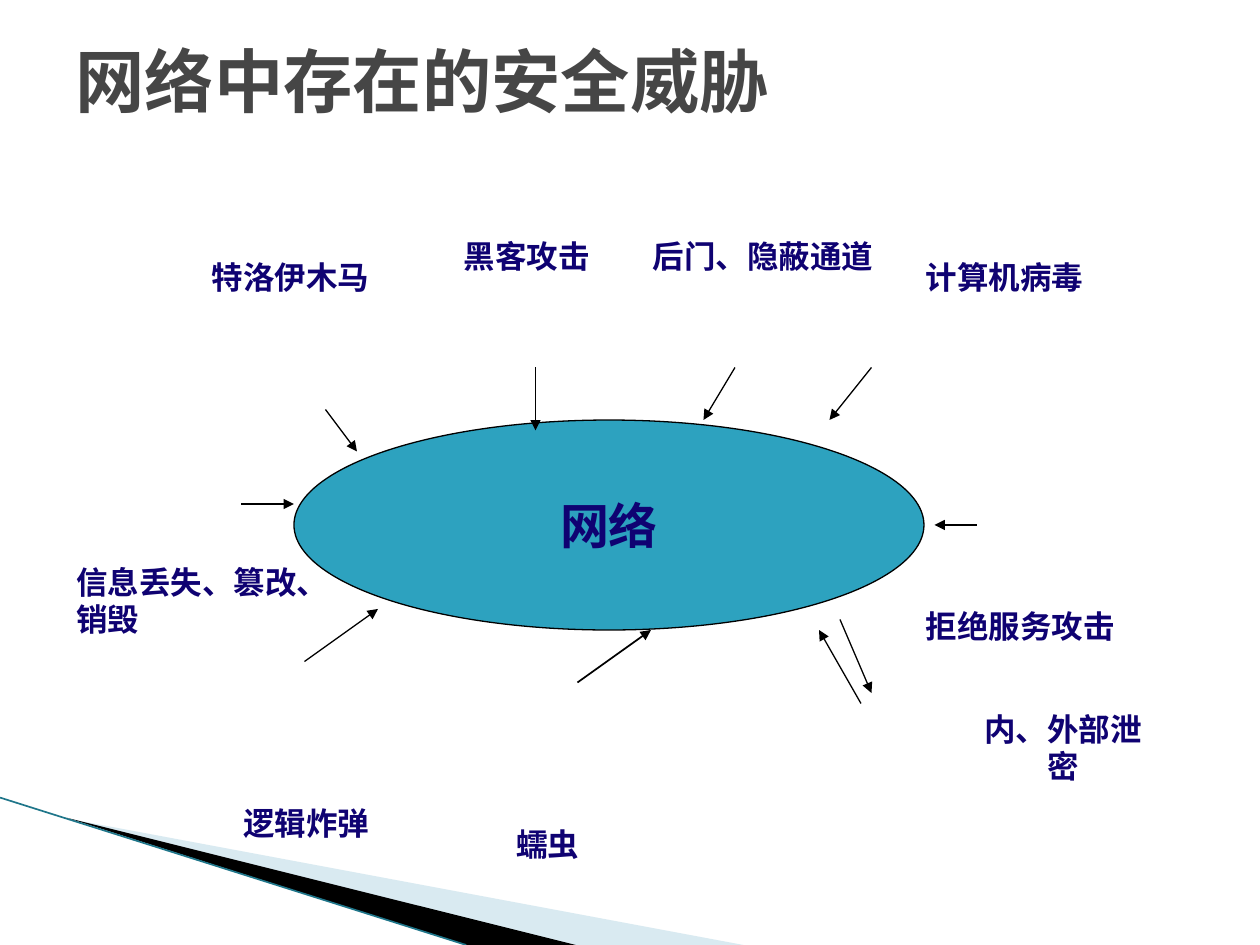
"""Build the slide on security threats surrounding a network."""
from lxml.etree import SubElement
from pptx import Presentation
from pptx.dml.color import RGBColor
from pptx.enum.shapes import MSO_CONNECTOR as Connector, MSO_SHAPE as Shape
from pptx.enum.text import MSO_ANCHOR as Anchor, MSO_AUTO_SIZE as AutoSize, PP_ALIGN as Align
from pptx.oxml.ns import qn
from pptx.util import Inches, Pt

COLORS = {
    "title": "464646", "label": "0F0272", "network": "2DA2BF",
    "ink": "000000", "pale": "A0CBDC", "edge": "1F768A",
}
TITLE = "网络中存在的安全威胁"
TITLE_FONT, BODY_FONT = "Noto Sans Mono", "Times New Roman"
CELL = 1 / 12
NETWORK = ("网络", (28, 40, 60, 20))
THREATS = [
    ("特洛伊木马", (19, 24, 32, 4.8), Align.LEFT),
    ("黑客攻击", (43, 22, 25, 4.8), Align.LEFT),
    ("后门、隐蔽通道", (61, 22, 28, 4.8), Align.LEFT),
    ("计算机病毒", (87, 24, 24, 4.8), Align.LEFT),
    ("信息丢失、篡改、销毁", (6.1, 53, 23.9, 11), Align.LEFT),
    ("拒绝服务攻击", (87, 57.25, 27, 6.1), Align.LEFT),
    ("内、外部泄密", (91.5, 67, 19.5, 11), Align.CENTER),
    ("逻辑炸弹", (22, 76, 24, 4.8), Align.LEFT),
    ("蠕虫", (48, 78, 18, 4.8), Align.LEFT),
]
ATTACKS = [
    (31, 39, 34, 43), (51, 35, 51, 41), (70, 35, 67, 40), (83, 35, 79, 40),
    (23, 48, 28, 48), (93, 50, 89, 50), (29, 63, 36, 58), (82, 67, 78, 60),
    (80, 59, 83, 66),
]
WORM_ATTACK = (55, 65, 62, 60)
PALE_WEDGE = [(0.55, 6.5), (5.9, 7.5), (4.56, 7.5)]
DARK_WEDGE = [(0.53, 6.49), (4.57, 7.5), (3.7, 7.5)]
WEDGE_EDGE = (0, 6.33, 3.7, 7.5)


def color(name):
    return RGBColor.from_string(COLORS[name])


def on_grid(cells):
    return [Inches(cell * CELL) for cell in cells]


def write(frame, text, size, font_name, color_name, align):
    paragraph = frame.paragraphs[0]
    paragraph.alignment = align
    run = paragraph.add_run()
    run.text = text
    run.font.size, run.font.name, run.font.bold = Pt(size), font_name, True
    run.font.color.rgb = color(color_name)


def add_wedge(slide, points, color_name, opacity=100):
    corners = [(Inches(x), Inches(y)) for x, y in points]
    builder = slide.shapes.build_freeform(*corners[0])
    builder.add_line_segments(corners[1:], close=True)
    wedge = builder.convert_to_shape()
    wedge.shadow.inherit = False
    wedge.fill.solid()
    wedge.fill.fore_color.rgb = color(color_name)
    wedge.line.fill.background()
    if opacity < 100:
        tint = wedge.fill._xPr.find(qn("a:solidFill"))[0]
        SubElement(tint, qn("a:alpha"), val=str(opacity * 1000))


def add_line(slide, ends, color_name, width, arrow=False):
    line = slide.shapes.add_connector(Connector.STRAIGHT, *ends)
    line.line.color.rgb = color(color_name)
    line.line.width = Pt(width)
    if arrow:
        SubElement(line.line._get_or_add_ln(), qn("a:tailEnd"), type="triangle")
    SubElement(line._element.spPr, qn("a:effectLst"))


def add_title(slide):
    title = slide.shapes.title
    title.left, title.top, title.width, title.height = map(Inches, (0.5, 0.3, 9, 1.25))
    frame = title.text_frame
    frame.auto_size, frame.vertical_anchor = AutoSize.NONE, Anchor.TOP
    frame.margin_top = 0
    write(frame, TITLE, 39.6, TITLE_FONT, "title", Align.LEFT)


def add_network(slide):
    text, cells = NETWORK
    network = slide.shapes.add_shape(Shape.OVAL, *on_grid(cells))
    network.shadow.inherit = False
    network.fill.solid()
    network.fill.fore_color.rgb = color("network")
    network.line.color.rgb = color("ink")
    network.line.width = Pt(0.75)
    network.text_frame.word_wrap = False
    network.text_frame.vertical_anchor = Anchor.MIDDLE
    write(network.text_frame, text, 28, BODY_FONT, "label", Align.CENTER)


def add_threat(slide, text, cells, align):
    frame = slide.shapes.add_textbox(*on_grid(cells)).text_frame
    frame.word_wrap = True
    frame.auto_size = AutoSize.SHAPE_TO_FIT_TEXT
    write(frame, text, 18, BODY_FONT, "label", align)


def main():
    deck = Presentation()
    deck.slide_width, deck.slide_height = Inches(10), Inches(7.5)
    slide = deck.slides.add_slide(deck.slide_layouts[5])
    add_wedge(slide, PALE_WEDGE, "pale", opacity=40)
    add_wedge(slide, DARK_WEDGE, "ink")
    add_line(slide, [Inches(end) for end in WEDGE_EDGE], "edge", 0.95)
    add_title(slide)
    add_network(slide)
    for attack in ATTACKS:
        add_line(slide, on_grid(attack), "ink", 0.75, arrow=True)
    add_line(slide, on_grid(WORM_ATTACK), "ink", 1, arrow=True)
    for threat in THREATS:
        add_threat(slide, *threat)
    deck.save("out.pptx")


if __name__ == "__main__":
    main()
